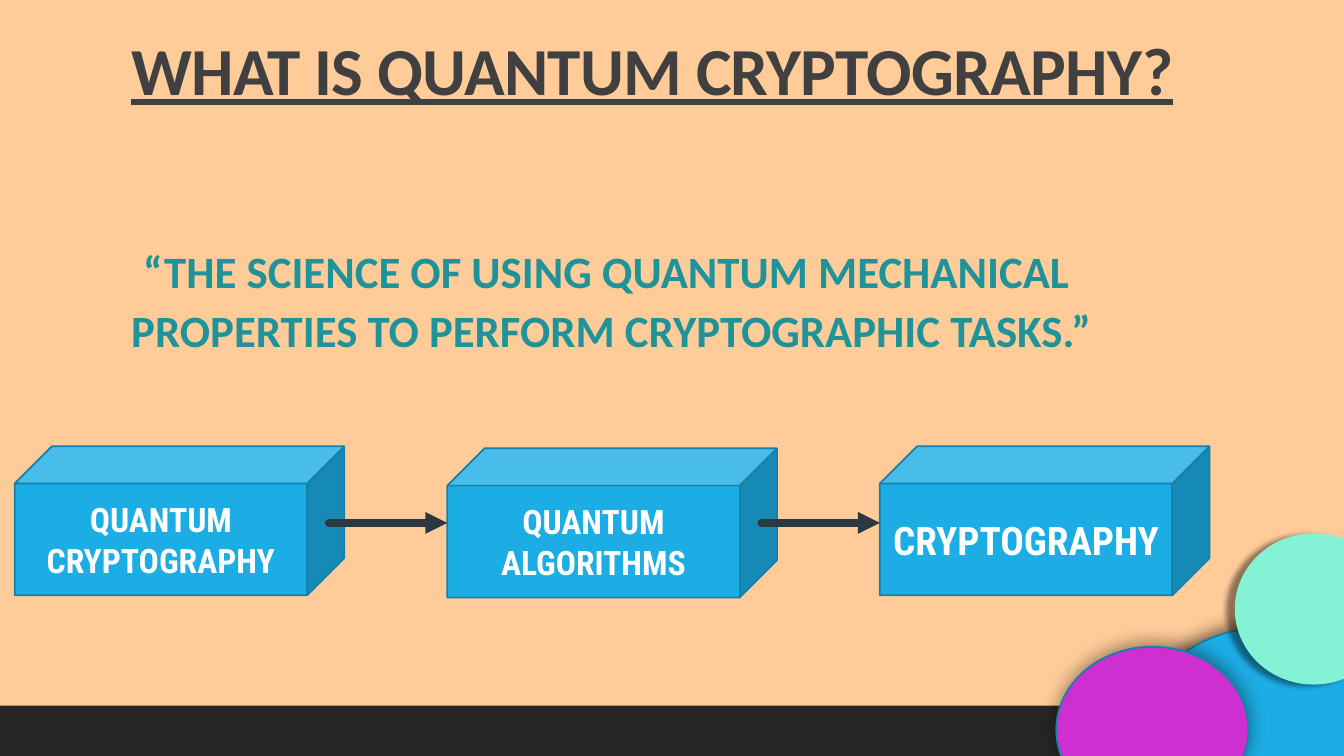
from lxml import etree
from pptx import Presentation
from pptx.dml.color import RGBColor
from pptx.enum.shapes import MSO_CONNECTOR, MSO_SHAPE
from pptx.enum.text import MSO_ANCHOR as ANCHOR, PP_ALIGN as ALIGN
from pptx.oxml.ns import qn
from pptx.util import Pt

PX = 9525
COLORS = {
    "peach": "FFCC99", "footer": "262626", "title": "404040", "teal": "1E9399",
    "blue": "1CADE4", "edge": "1580A9", "arrow": "2C3943", "white": "FFFFFF",
    "magenta": "CD2FD1", "mint": "84F2D5", "black": "000000",
}


def px(*lengths):
    """Turn pixel lengths into EMU."""
    return [round(n * PX) for n in lengths]


def rgb(name):
    """Look up a named colour."""
    return RGBColor.from_string(COLORS[name])


def sub(parent, tag, **attrs):
    """Append an XML child with attributes."""
    return etree.SubElement(parent, qn(tag), {k: str(v) for k, v in attrs.items()})


def add_shape(slide, kind, box, fill, line=None):
    """Add a filled preset shape without a shadow."""
    s = slide.shapes.add_shape(kind, *px(*box))
    s.shadow.inherit = False
    s.fill.solid()
    s.fill.fore_color.rgb = rgb(fill)
    if line:
        s.line.color.rgb = rgb(line)
        s.line.width = Pt(1.25)
    else:
        s.line.fill.background()
    return s


def set_text(s, text, size, color, font="Calibri", align=ALIGN.LEFT,
             anchor=ANCHOR.TOP, underline=False, spacing=None, insets=None):
    """Write bold text into a shape, one paragraph per line."""
    tf = s.text_frame
    tf.word_wrap = True
    tf.vertical_anchor = anchor
    if insets:
        tf.margin_left, tf.margin_top, tf.margin_right, tf.margin_bottom = px(*insets)
    tf.text = text
    for p in tf.paragraphs:
        p.alignment = align
        if spacing:
            p.line_spacing = spacing
        for r in p.runs:
            r.font.name = font
            r.font.size = Pt(size)
            r.font.bold = True
            r.font.underline = underline
            r.font.color.rgb = rgb(color)
    return tf.paragraphs


def add_title(slide, box):
    """Place the underlined heading."""
    s = slide.shapes.add_textbox(*px(*box))
    p = set_text(s, "WHAT IS QUANTUM CRYPTOGRAPHY?", 48, "title",
                 underline=True, insets=(0, 0, 0, 0))[0]
    p.runs[0].font._element.set("spc", "-50")


def add_quote(slide, box):
    """Place the definition with its hanging blank bullet."""
    s = slide.shapes.add_textbox(*px(*box))
    p = set_text(s, "“THE SCIENCE OF USING QUANTUM MECHANICAL PROPERTIES "
                 "TO PERFORM CRYPTOGRAPHIC TASKS.”", 32, "teal",
                 spacing=1.1, insets=(0, 5, 0, 5))[0]
    p.space_before, p.space_after = Pt(12), Pt(2)
    pPr = p._p.get_or_add_pPr()
    indent = px(10)[0]
    pPr.set("marL", str(indent))
    pPr.set("indent", str(-indent))
    sub(pPr, "a:buChar", char=" ")


def add_arrow(slide, x1, x2, y):
    """Draw a thick horizontal arrow with a round start."""
    c = slide.shapes.add_connector(MSO_CONNECTOR.STRAIGHT, *px(x1, y, x2, y))
    c.line.color.rgb = rgb("arrow")
    c.line.width = Pt(5.25)
    ln = c.line._get_or_add_ln()
    ln.set("cap", "rnd")
    sub(ln, "a:tailEnd", type="triangle")
    sub(c._element.spPr, "a:effectLst")


def add_flow(slide, box):
    """Lay out the three cubes at equal steps, joined by arrows."""
    left, top, width, height = box
    cube_w, start = 314, 299
    steps = [("QUANTUM CRYPTOGRAPHY", 24, 0), ("QUANTUM\nALGORITHMS", 24, 2),
             ("CRYPTOGRAPHY", 28, 0)]
    pitch = (width - cube_w) // (len(steps) - 1)
    for i, (text, size, drop) in enumerate(steps):
        s = add_shape(slide, MSO_SHAPE.CUBE,
                      (left + i * pitch, top + drop, cube_w, height), "blue", "edge")
        set_text(s, text, size, "white", font="Roboto Condensed",
                 align=ALIGN.CENTER, anchor=ANCHOR.MIDDLE)
    for i in range(len(steps) - 1):
        x = left + i * pitch
        add_arrow(slide, x + start, x + pitch, top + 73)


def add_circle(slide, box, fill, line, alpha, blur, dist, angle):
    """Draw an ellipse with a soft outer shadow."""
    s = add_shape(slide, MSO_SHAPE.OVAL, box, fill, line)
    effects = s._element.spPr.find(qn("a:effectLst"))
    shadow = sub(effects, "a:outerShdw", blurRad=Pt(blur), dist=Pt(dist),
                 dir=angle * 60000, algn="ctr", rotWithShape=0)
    color = sub(shadow, "a:srgbClr", val=COLORS["black"])
    sub(color, "a:alpha", val=alpha * 1000)


def add_circles(slide, box):
    """Group the corner circles from back to front."""
    x, y = box[:2]
    add_circle(slide, (x + 91, y + 90, 217, 158), "blue", "edge", 58, 13, 3, 270)
    add_circle(slide, (x, y + 108, 183, 158), "magenta", "edge", 40, 13, 3, 270)
    add_circle(slide, (x + 170, y, 150, 144), "mint", None, 44, 4, 6, 170)


def main():
    """Build and save the slide."""
    prs = Presentation()
    prs.slide_width, prs.slide_height = px(1280, 720)
    slide = prs.slides.add_slide(prs.slide_layouts[6])
    bg = slide.background.fill
    bg.solid()
    bg.fore_color.rgb = rgb("peach")
    add_shape(slide, MSO_SHAPE.RECTANGLE, (0, 672, 1280, 48), "footer")
    add_title(slide, (125, 27, 1145, 80))
    add_quote(slide, (115, 222, 1056, 140))
    add_flow(slide, (14, 425, 1138, 142))
    add_circles(slide, (1006, 508, 320, 266))
    prs.save("out.pptx")


if __name__ == "__main__":
    main()
